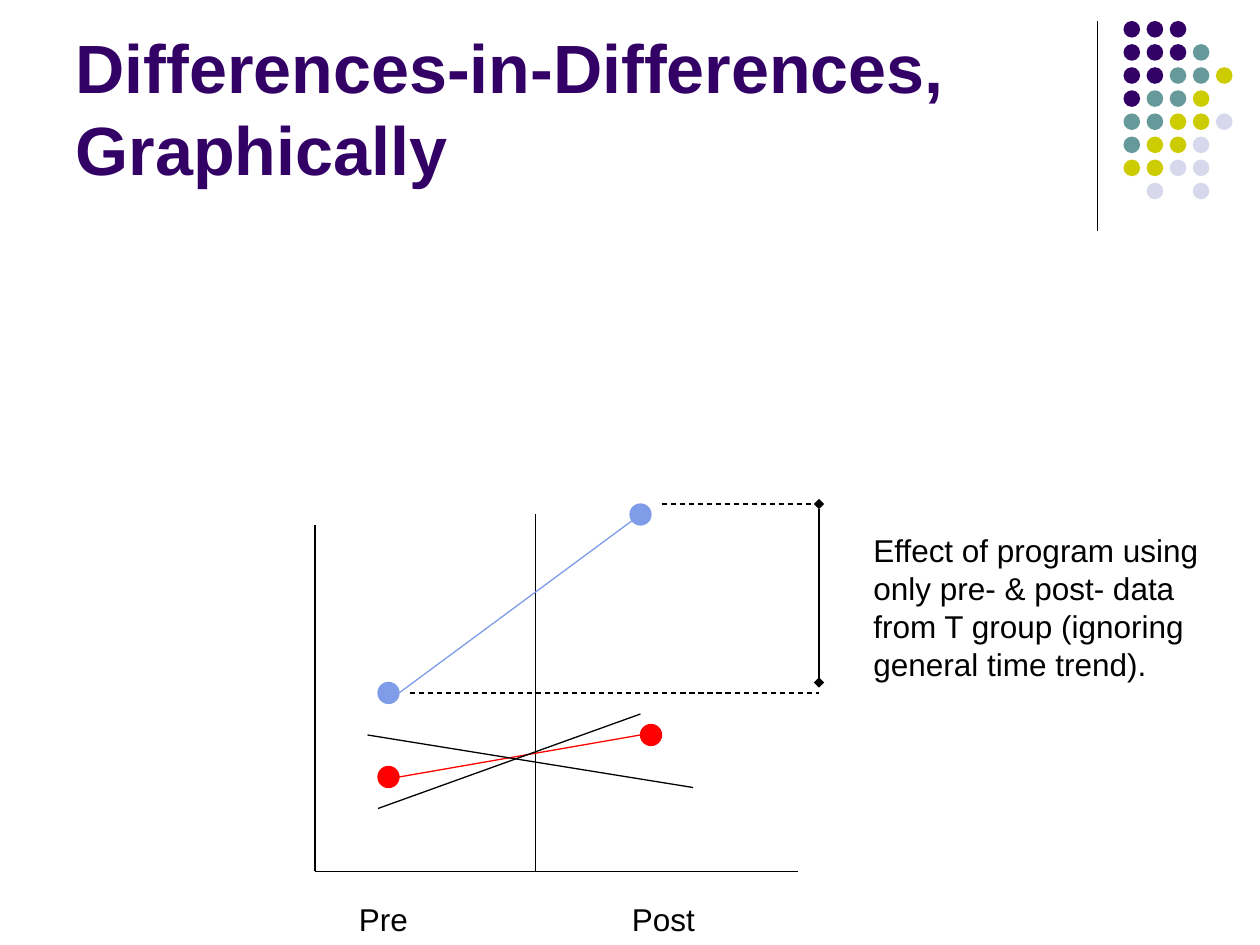
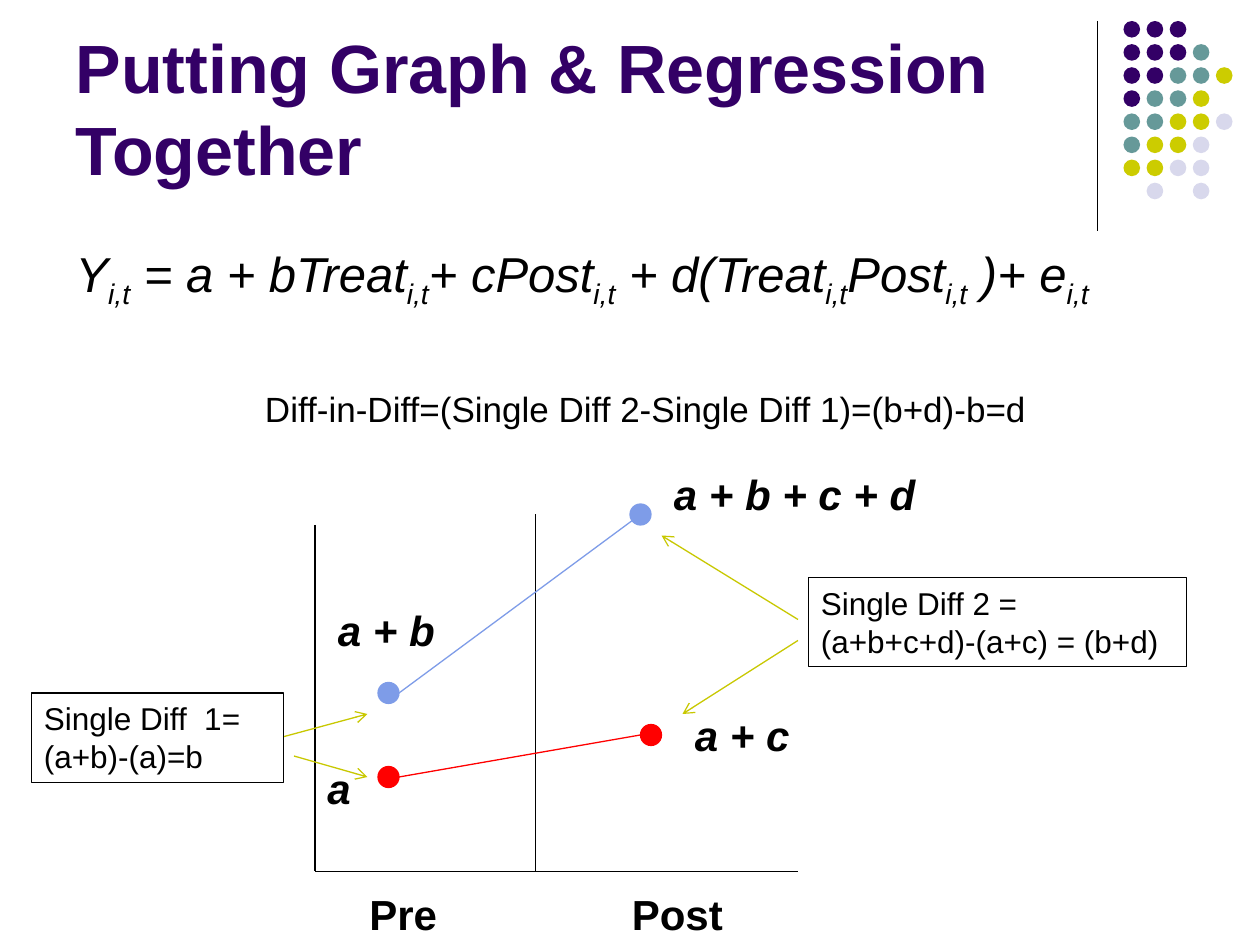
"""Two slides on differences-in-differences, with a shared dot motif and graph."""
from dataclasses import dataclass
from typing import Optional

import lxml.etree
import pptx
import pptx.dml.color
import pptx.enum.dml
import pptx.enum.shapes
import pptx.enum.text
import pptx.oxml.ns
import pptx.util

Pt = pptx.util.Pt
RGBColor = pptx.dml.color.RGBColor
qn = pptx.oxml.ns.qn

# Colours and shared format
BLACK = RGBColor(0x00, 0x00, 0x00)
PURPLE = RGBColor(0x33, 0x00, 0x66)
TEAL = RGBColor(0x66, 0x99, 0x99)
LIME = RGBColor(0xCC, 0xCC, 0x00)
LILAC = RGBColor(0xD8, 0xD8, 0xEC)
RED = RGBColor(0xFF, 0x00, 0x00)
BLUE = RGBColor(0x7E, 0x9C, 0xE8)
OLIVE = RGBColor(0xC8, 0xC8, 0x00)
FONT = "Arial"
LINE_WIDTH = 0.75

# Dot motif: one letter per dot, one string per row
DOT_COLORS = {"P": PURPLE, "T": TEAL, "L": LIME, "V": LILAC}
DOT_ROWS = ["PPP", "PPPT", "PPTTL", "PTTL", "TTLLV", "TLLV", "LLVV", " V V"]
DOT_LEFT, DOT_TOP, DOT_PITCH, DOT_SIZE = 642, 12, 13.2, 9.5
MARKER_SIZE = 12


@dataclass
class Line:
    """A straight line; coordinates in points."""
    x1: float
    y1: float
    x2: float
    y2: float
    color: RGBColor = BLACK
    dashed: bool = False
    head: Optional[str] = None
    tail: Optional[str] = None


@dataclass
class Label:
    """A text box; lengths in points."""
    text: str
    left: float
    top: float
    width: float
    height: float
    size: float = 18
    bold: bool = False
    italic: bool = False
    framed: bool = False


@dataclass
class Marker:
    """A round data point, placed by its top left corner."""
    left: float
    top: float
    color: RGBColor


def add_run(p, text: str, *, size: float = 18, color: RGBColor = BLACK,
            bold: bool = False, italic: bool = False, baseline: int = 0) -> None:
    r = p.add_run()
    r.text = text
    r.font.name = FONT
    r.font.size = Pt(size)
    r.font.color.rgb = color
    r.font.bold = bold
    r.font.italic = italic
    if baseline:
        r.font._element.set("baseline", str(baseline * 1000))


def place(sp, left: float, top: float, width: float, height: float) -> None:
    sp.left, sp.top, sp.width, sp.height = Pt(left), Pt(top), Pt(width), Pt(height)


def add_line(shapes, line: Line):
    sp = shapes.add_connector(pptx.enum.shapes.MSO_CONNECTOR.STRAIGHT,
                              Pt(line.x1), Pt(line.y1), Pt(line.x2), Pt(line.y2))
    sp.line.color.rgb = line.color
    sp.line.width = Pt(LINE_WIDTH)
    if line.dashed:
        sp.line.dash_style = pptx.enum.dml.MSO_LINE.DASH
    ln = sp.line._get_or_add_ln()
    for tag, kind in (("a:headEnd", line.head), ("a:tailEnd", line.tail)):
        if kind:
            lxml.etree.SubElement(ln, qn(tag), type=kind)
    lxml.etree.SubElement(sp.element.spPr, qn("a:effectLst"))
    return sp


def add_dot(shapes, left: float, top: float, size: float, color: RGBColor,
            outlined: bool = False) -> None:
    sp = shapes.add_shape(pptx.enum.shapes.MSO_SHAPE.OVAL,
                          Pt(left), Pt(top), Pt(size), Pt(size))
    sp.shadow.inherit = False
    sp.fill.solid()
    sp.fill.fore_color.rgb = color
    if outlined:
        sp.line.color.rgb = color
        sp.line.width = Pt(LINE_WIDTH)
    else:
        sp.line.fill.background()


def add_label(shapes, label: Label) -> None:
    sp = shapes.add_textbox(Pt(label.left), Pt(label.top),
                            Pt(label.width), Pt(label.height))
    tf = sp.text_frame
    tf.word_wrap = True
    tf.auto_size = pptx.enum.text.MSO_AUTO_SIZE.SHAPE_TO_FIT_TEXT
    add_run(tf.paragraphs[0], label.text, size=label.size,
            bold=label.bold, italic=label.italic)
    if label.framed:
        sp.line.color.rgb = BLACK
        sp.line.width = Pt(LINE_WIDTH)


def add_motif(prs, s) -> None:
    """Draw the rule and the dots on a slide, then move them to the master."""
    rule = add_line(s.shapes, Line(627, 12, 627, 132))
    group = s.shapes.add_group_shape()
    for row, letters in enumerate(DOT_ROWS):
        for col, letter in enumerate(letters):
            if letter in DOT_COLORS:
                add_dot(group.shapes, DOT_LEFT + col * DOT_PITCH,
                        DOT_TOP + row * DOT_PITCH, DOT_SIZE, DOT_COLORS[letter])
    tree = prs.slide_master.shapes.element
    next_id = 100
    for sp in (rule, group):
        for props in sp.element.iter(qn("p:cNvPr")):
            props.set("id", str(next_id))
            next_id += 1
        tree.append(sp.element)


def set_title(s, text: str) -> None:
    title = s.shapes.title
    place(title, 36, 9.5, 594, 102)
    tf = title.text_frame
    tf.word_wrap = True
    tf.auto_size = pptx.enum.text.MSO_AUTO_SIZE.NONE
    tf.vertical_anchor = pptx.enum.text.MSO_ANCHOR.BOTTOM
    p = tf.paragraphs[0]
    p.alignment = pptx.enum.text.PP_ALIGN.LEFT
    add_run(p, text, size=39, color=PURPLE, bold=True)


def format_body_paragraph(p, alignment) -> None:
    """No bullet, with a hanging first line."""
    p.alignment = alignment
    ppr = p._p.get_or_add_pPr()
    ppr.set("marL", str(Pt(27)))
    ppr.set("indent", str(Pt(-27)))
    lxml.etree.SubElement(ppr, qn("a:buNone"))


def draw(s, lines=(), markers=(), labels=()) -> None:
    for line in lines:
        add_line(s.shapes, line)
    for m in markers:
        add_dot(s.shapes, m.left, m.top, MARKER_SIZE, m.color, outlined=True)
    for label in labels:
        add_label(s.shapes, label)


# Graph shared by both slides: axes, treatment (blue) and control (red)
GRAPH_LINES = [
    Line(180, 300, 180, 498),
    Line(180, 498, 456, 498),
    Line(306, 498, 306, 294),
    Line(228, 396, 366, 294, BLUE),
    Line(228, 444, 366, 420, RED),
]
GRAPH_MARKERS = [
    Marker(216, 438, RED), Marker(216, 390, BLUE),
    Marker(366, 414, RED), Marker(360, 288, BLUE),
]

prs = pptx.Presentation()
prs.slide_width, prs.slide_height = Pt(720), Pt(540)
TITLE_AND_BODY, TITLE_ONLY = prs.slide_layouts[1], prs.slide_layouts[5]

# Slide 1: effect read from the treatment group alone
s = prs.slides.add_slide(TITLE_ONLY)
add_motif(prs, s)
set_title(s, "Differences-in-Differences, Graphically")
draw(s, GRAPH_LINES, GRAPH_MARKERS)
draw(s, lines=[
    Line(468, 288, 468, 390, head="diamond", tail="diamond"),
    Line(234, 396, 468, 396, dashed=True),
    Line(378, 288, 468, 288, dashed=True),
    Line(210, 420, 396, 450),
    Line(240, 462, 240, 462),
    Line(216, 462, 366, 408),
], labels=[
    Label("Pre", 198, 511, 72, 29),
    Label("Post", 354, 511, 72, 29),
    Label("Effect of program using only pre- & post- data from T group "
          "(ignoring general time trend).", 492, 300, 210, 94),
])

# Slide 2: regression terms on the graph
s = prs.slides.add_slide(TITLE_AND_BODY)
set_title(s, "Putting Graph & Regression Together")
draw(s, GRAPH_LINES, GRAPH_MARKERS)

body = s.placeholders[1]
place(body, 36, 135.5, 666, 347)
tf = body.text_frame
tf.word_wrap = True
tf.auto_size = pptx.enum.text.MSO_AUTO_SIZE.NONE
p = tf.paragraphs[0]
format_body_paragraph(p, pptx.enum.text.PP_ALIGN.LEFT)
for term in ["Y", " = a + bTreat", "+ cPost", " + d(Treat", "Post", " )+ e"]:
    add_run(p, term, size=28, italic=True)
    add_run(p, "i,t", size=28, italic=True, baseline=-25)
p = tf.add_paragraph()
p.space_before = Pt(44)
format_body_paragraph(p, pptx.enum.text.PP_ALIGN.CENTER)
add_run(p, "Diff-in-Diff=(Single Diff 2-Single Diff 1)=(b+d)-b=d", size=20)

draw(s, lines=[
    Line(456, 354, 378, 306, OLIVE, tail="arrow"),
    Line(456, 366, 390, 408, OLIVE, tail="arrow"),
    Line(162, 421, 210, 408, OLIVE, tail="arrow"),
    Line(168, 432, 210, 444, OLIVE, tail="arrow"),
], labels=[
    Label("Pre", 204, 504, 72, 36, size=24, bold=True),
    Label("Post", 354, 504, 72, 36, size=24, bold=True),
    Label("a", 180, 432, 36, 36, size=24, bold=True, italic=True),
    Label("a + c", 390, 402, 132, 36, size=24, bold=True, italic=True),
    Label("a + b", 186, 342, 78, 36, size=24, bold=True, italic=True),
    Label("a + b + c + d", 378, 264, 168, 36, size=24, bold=True, italic=True),
    Label("Single Diff 2 = (a+b+c+d)-(a+c) = (b+d)", 462, 330, 216, 51, framed=True),
    Label("Single Diff  1= (a+b)-(a)=b", 18, 396, 144, 51, framed=True),
])

prs.save("out.pptx")
